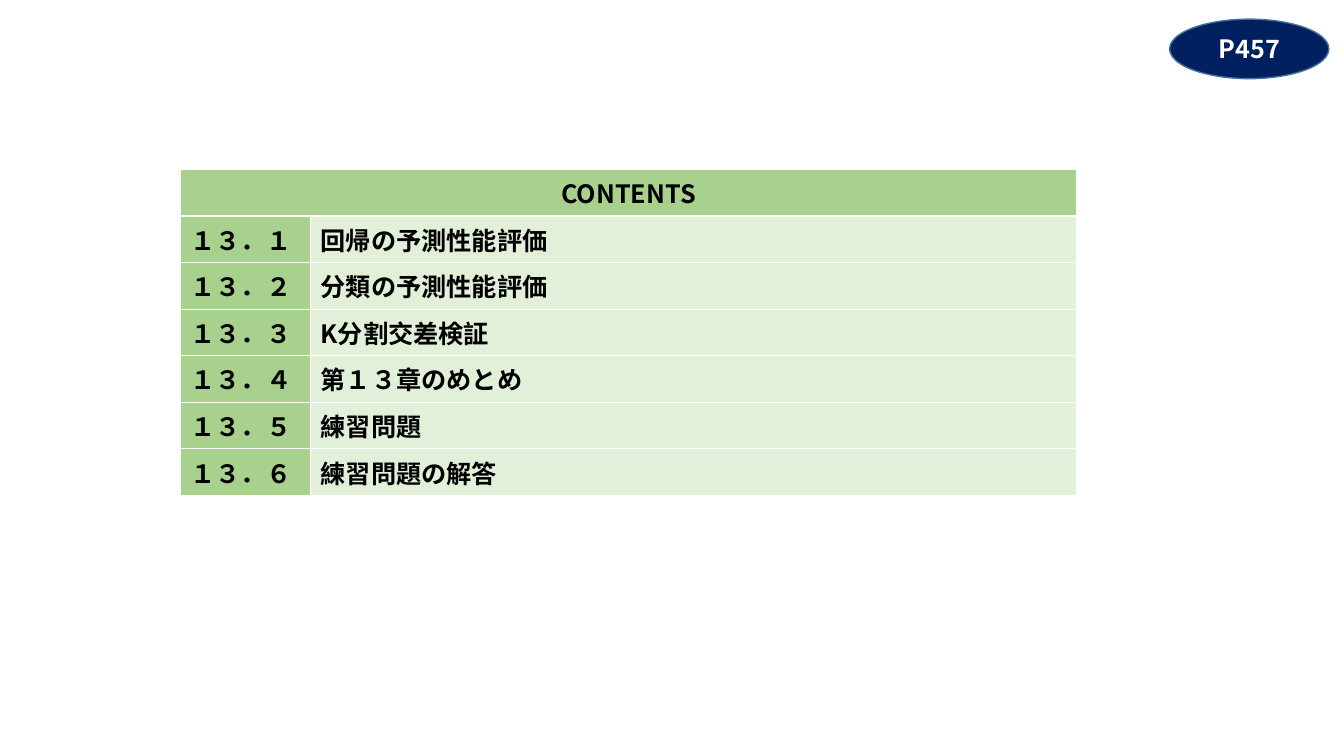
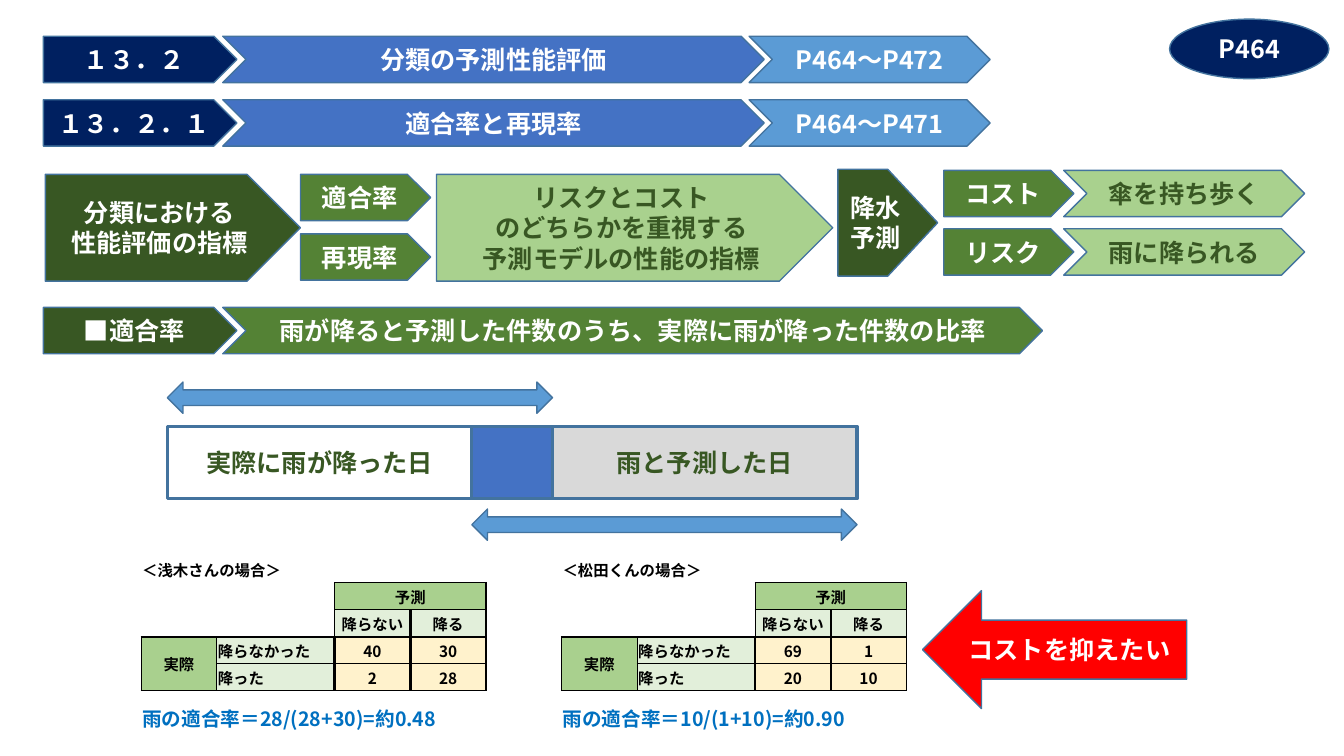
import lxml.etree
import pptx
import pptx.dml.color
import pptx.enum.shapes
import pptx.enum.text
import pptx.oxml.ns
import pptx.util

Inches = pptx.util.Inches
Pt = pptx.util.Pt
SHAPES = pptx.enum.shapes.MSO_SHAPE
ALIGN = pptx.enum.text.PP_ALIGN
MIDDLE = pptx.enum.text.MSO_ANCHOR.MIDDLE

FONT = "Noto Sans CJK JP"
PLAIN_TABLE_STYLE = "{2D5ABB26-0587-4C30-8999-92F81FD0307C}"
NAVY, BLUE, SKY = "002060", "4472C4", "5B9BD5"
DARK_GREEN, GREEN, LIGHT_GREEN, PALE_GREEN = "385723", "548235", "A9D18E", "E2F0D9"
OUTLINE, FORMULA_BLUE, RED = "43739E", "0070C0", "FF0000"
GREY, CREAM, WHITE, BLACK = "D9D9D9", "FFF2CC", "FFFFFF", "000000"
MATRIX_HEAD, MATRIX_LABEL = "A9D08E", "E2EFDA"
BAR_HEIGHT = 0.46


def rgb(hex_color):
    return pptx.dml.color.RGBColor.from_string(hex_color)


def add_xml(parent, tag, **attributes):
    return lxml.etree.SubElement(parent, pptx.oxml.ns.qn(tag), **attributes)


def write(frame, text, size=18, color=WHITE, align=ALIGN.CENTER):
    """Fill a text frame with bold text, one paragraph per line."""
    for index, line in enumerate(text.split("\n")):
        paragraph = frame.add_paragraph() if index else frame.paragraphs[0]
        paragraph.alignment = align
        if not line:
            add_xml(paragraph._p, "a:endParaRPr", sz=str(size * 100))
            continue
        run = paragraph.add_run()
        run.text = line
        run.font.size = Pt(size)
        run.font.bold = True
        run.font.color.rgb = rgb(color)
        run.font.name = FONT
        add_xml(run._r.get_or_add_rPr(), "a:ea", typeface=FONT)


def add_box(slide, kind, place, fill=None, text="", color=WHITE, line_width=1):
    box = slide.shapes.add_shape(kind, *map(Inches, place))
    box.shadow.inherit = False
    if fill:
        box.fill.solid()
        box.fill.fore_color.rgb = rgb(fill)
    else:
        box.fill.background()
    box.line.color.rgb = rgb(OUTLINE)
    box.line.width = Pt(line_width)
    if text:
        box.text_frame.word_wrap = True
        box.text_frame.vertical_anchor = MIDDLE
        write(box.text_frame, text, color=color)


def add_page_badge(slide, text):
    add_box(slide, SHAPES.OVAL, (11.6, 0.19, 1.58, 0.59), NAVY, text)


def add_heading(slide, top, number, title, pages):
    """Draw a row of a section number, its title and its page range."""
    add_box(slide, SHAPES.PENTAGON, (0.43, top, 1.92, BAR_HEIGHT), NAVY, number)
    add_box(slide, SHAPES.CHEVRON, (2.21, top, 5.37, BAR_HEIGHT), BLUE, title)
    add_box(slide, SHAPES.CHEVRON, (7.43, top, 2.39, BAR_HEIGHT), SKY, pages)


def add_plain_table(slide, left, top, widths, heights):
    frame = slide.shapes.add_table(
        len(heights), len(widths), Inches(left), Inches(top),
        Inches(sum(widths)), Inches(sum(heights)))
    table = frame.table
    table.first_row = table.horz_banding = False
    style = table._tbl.tblPr.find(pptx.oxml.ns.qn("a:tableStyleId"))
    style.text = PLAIN_TABLE_STYLE
    for column, width in zip(table.columns, widths):
        column.width = Inches(width)
    for row, height in zip(table.rows, heights):
        row.height = Inches(height)
    return table


def set_borders(cell, widths, color=BLACK):
    """Draw the edges of a cell; widths are for left, right, top, bottom."""
    properties = cell._tc.get_or_add_tcPr()
    for side, width in zip("LRTB", widths):
        edge = add_xml(properties, f"a:ln{side}", w=str(Pt(width)))
        add_xml(add_xml(edge, "a:solidFill"), "a:srgbClr", val=color)


def set_fill(cell, color):
    cell.fill.solid()
    cell.fill.fore_color.rgb = rgb(color)


def add_contents(slide, topics):
    table = add_plain_table(slide, 1.79, 1.68, [1.29, 7.6], [0.41] * (len(topics) + 1))
    table.cell(0, 0).merge(table.cell(0, 1))
    write(table.cell(0, 0).text_frame, "CONTENTS", color=BLACK)
    for row, topic in enumerate(topics, 1):
        number = "１３．" + "０１２３４５６７８９"[row]
        for column, text in enumerate((number, topic)):
            write(table.cell(row, column).text_frame, text, color=BLACK, align=ALIGN.LEFT)
    for row in range(len(topics) + 1):
        for column in range(2):
            cell = table.cell(row, column)
            set_borders(cell, [1] * 4, WHITE)
            set_fill(cell, PALE_GREEN if row and column else LIGHT_GREEN)


def matrix_borders(row, column):
    """Give the edge widths of a cell in a confusion matrix."""
    def vertical(line):
        if line == 1:
            return 0.5
        return 2 if line == 3 and row > 1 or line == 2 and row > 2 else 1

    def horizontal(line):
        return 0.5 if line == 4 and column > 0 else 1

    if row == 1:
        return [1] * 4
    return vertical(column), vertical(column + 1), horizontal(row), horizontal(row + 1)


def fill_matrix(table, start, person, counts, formula):
    """Lay out one person's confusion matrix from the given column on."""
    for row, column, last_row, last_column in (
            (0, 0, 0, 1), (1, 2, 1, 3), (3, 0, 4, 0), (5, 0, 6, 3)):
        table.cell(row, start + column).merge(table.cell(last_row, start + last_column))
    texts = {(0, 0): f"＜{person}の場合＞", (1, 2): "予測",
             (2, 2): "降らない", (2, 3): "降る", (3, 0): "実際",
             (3, 1): "降らなかった", (4, 1): "降った"}
    for index, count in enumerate(counts):
        texts[3 + index // 2, 2 + index % 2] = str(count)
    for (row, column), text in texts.items():
        centred = row > 0 and column != 1
        write(table.cell(row, start + column).text_frame, text, size=11, color=BLACK,
              align=ALIGN.CENTER if centred else ALIGN.LEFT)
    write(table.cell(5, start).text_frame, f"雨の適合率＝{formula}", size=14,
          color=FORMULA_BLUE, align=ALIGN.LEFT)

    for row in range(1, 5):
        for column in range(0 if row > 2 else 2, 4):
            cell = table.cell(row, start + column)
            set_borders(cell, matrix_borders(row, column))
            if row == 1 or column == 0:
                set_fill(cell, MATRIX_HEAD)
            else:
                set_fill(cell, MATRIX_LABEL if row == 2 or column == 1 else CREAM)


def add_matrices(slide):
    matrix_widths = [0.75, 1.17, 0.75, 0.75]
    table = add_plain_table(slide, 1.4, 5.51, matrix_widths + [0.75] + matrix_widths,
                            [0.27, 0.27, 0.27, 0.26, 0.27, 0.26, 0.27])
    fill_matrix(table, 0, "浅木さん", (40, 30, 2, 28), "28/(28+30)=約0.48")
    fill_matrix(table, 5, "松田くん", (69, 1, 20, 10), "10/(1+10)=約0.90")
    for cell in table.iter_cells():
        cell.vertical_anchor = MIDDLE
        cell.margin_left = cell.margin_right = cell.margin_top = Inches(0.01)
        cell.margin_bottom = 0
        if not cell.text_frame.text:
            write(cell.text_frame, "", size=11)


def add_metrics(slide):
    """Draw the chain from the metrics to the rain forecast example."""
    for top, metric in ((1.73, "適合率"), (2.32, "再現率")):
        add_box(slide, SHAPES.PENTAGON, (2.98, top, 1.29, BAR_HEIGHT), GREEN, metric)
    add_box(slide, SHAPES.PENTAGON, (0.45, 1.73, 2.53, 1.06), DARK_GREEN,
            "分類における\n性能評価の指標")
    add_box(slide, SHAPES.PENTAGON, (4.33, 1.73, 3.93, 1.06), LIGHT_GREEN,
            "リスクとコスト\nのどちらかを重視する\n予測モデルの性能の指標", DARK_GREEN)
    add_box(slide, SHAPES.PENTAGON, (8.31, 1.68, 0.99, 1.06), DARK_GREEN, "降水予測")
    for top, concern, example in ((1.69, "コスト", "傘を持ち歩く"),
                                  (2.27, "リスク", "雨に降られる")):
        add_box(slide, SHAPES.PENTAGON, (9.36, top, 1.29, BAR_HEIGHT), GREEN, concern)
        add_box(slide, SHAPES.CHEVRON, (10.55, top, 2.39, BAR_HEIGHT), LIGHT_GREEN,
                example, DARK_GREEN)


def add_precision(slide):
    """Define precision and show how rainy and predicted days overlap."""
    add_box(slide, SHAPES.PENTAGON, (0.43, 3.05, 1.92, BAR_HEIGHT), DARK_GREEN, "■適合率")
    add_box(slide, SHAPES.CHEVRON, (2.21, 3.05, 8.13, BAR_HEIGHT), GREEN,
            "雨が降ると予測した件数のうち、実際に雨が降った件数の比率")
    left = 1.66
    for width, fill, text in ((3.02, None, "実際に雨が降った日"), (0.8, BLUE, ""),
                              (3.02, GREY, "雨と予測した日")):
        add_box(slide, SHAPES.RECTANGLE, (left, 4.23, width, 0.72), fill, text,
                DARK_GREEN, line_width=2.25)
        left += width
    for left, top in ((1.66, 3.79), (4.68, 5.05)):
        add_box(slide, SHAPES.LEFT_RIGHT_ARROW, (left, top, 3.82, 0.31), SKY)


def main():
    deck = pptx.Presentation()
    deck.slide_width, deck.slide_height = Inches(13.33), Inches(7.5)
    blank = deck.slide_layouts[6]

    contents = deck.slides.add_slide(blank)
    add_contents(contents, ["回帰の予測性能評価", "分類の予測性能評価", "K分割交差検証",
                            "第１３章のめとめ", "練習問題", "練習問題の解答"])
    add_page_badge(contents, "P457")

    precision = deck.slides.add_slide(blank)
    add_heading(precision, 0.36, "１３．２", "分類の予測性能評価", "P464～P472")
    add_heading(precision, 0.99, "１３．２．１", "適合率と再現率", "P464～P471")
    add_page_badge(precision, "P464")
    add_metrics(precision)
    add_precision(precision)
    add_matrices(precision)
    add_box(precision, SHAPES.LEFT_ARROW, (9.15, 5.86, 2.62, 1.17), RED, "コストを抑えたい")

    deck.save("out.pptx")


if __name__ == "__main__":
    main()
